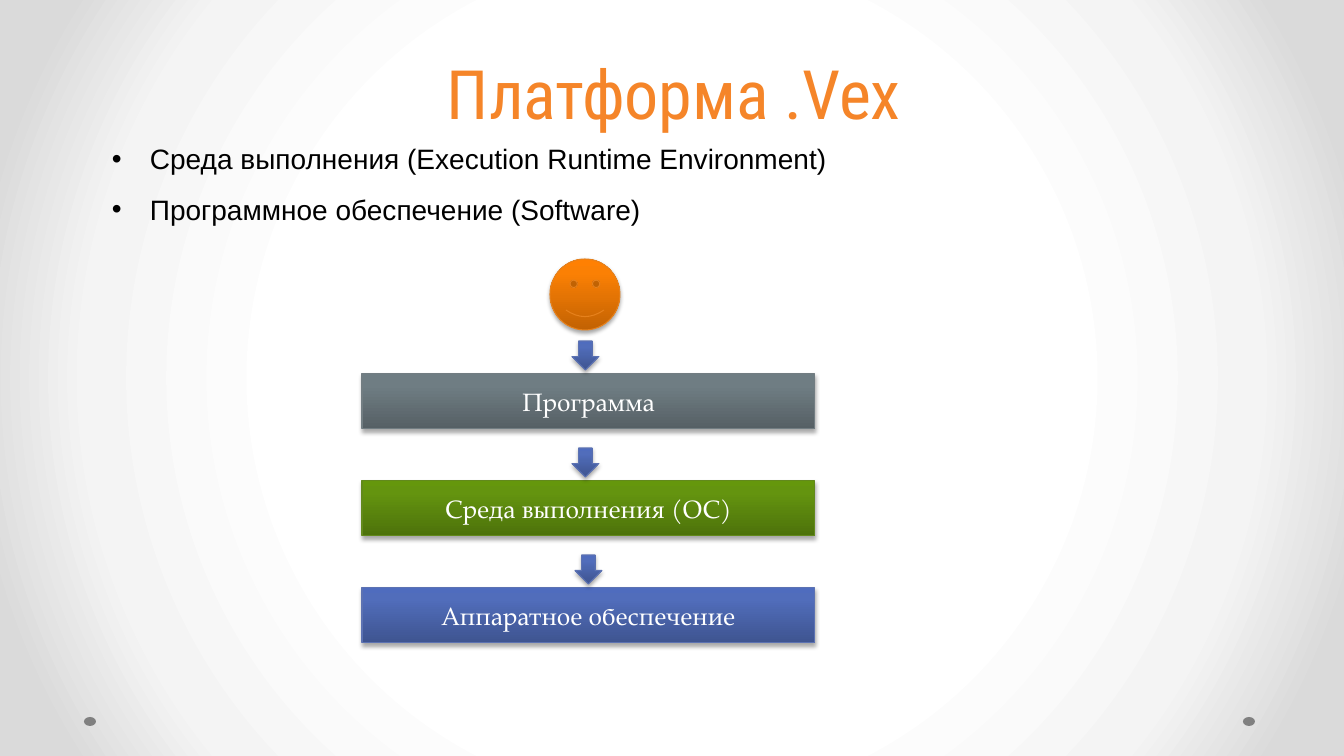
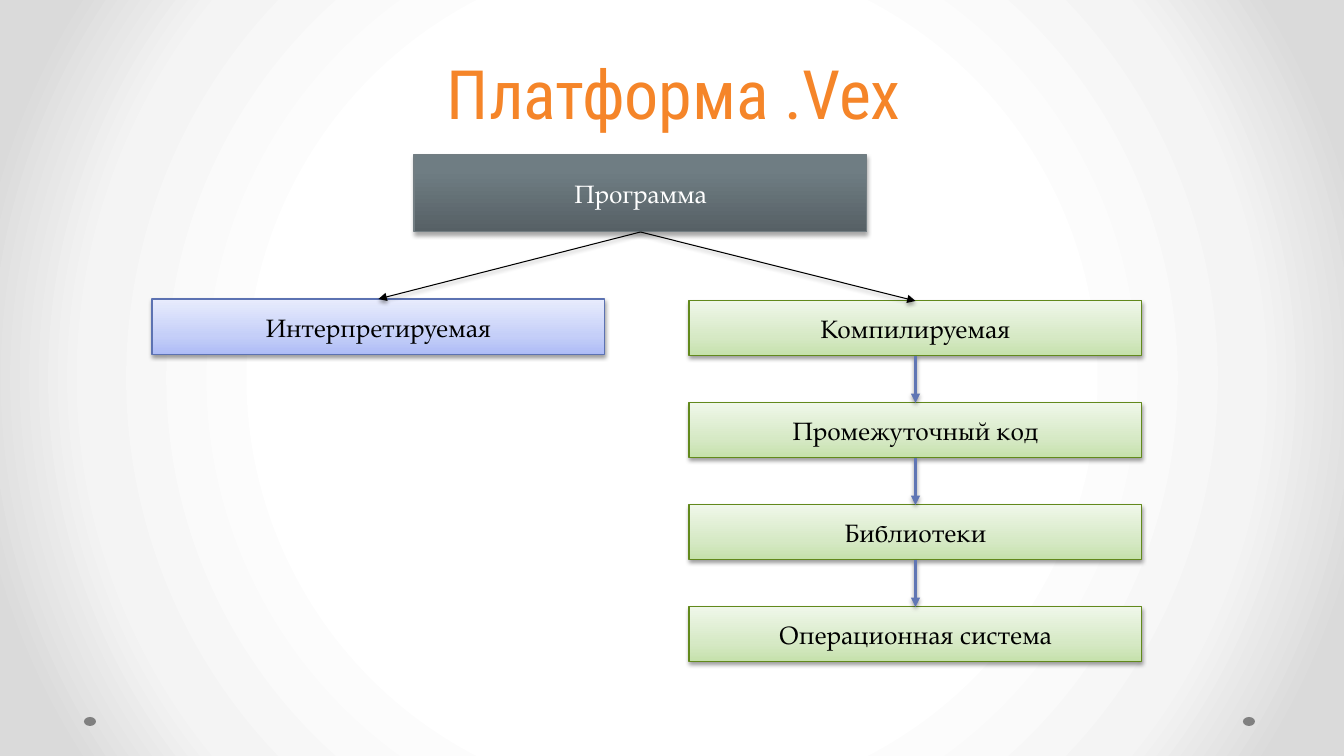
import dataclasses

import lxml.etree
import pptx
import pptx.dml.color
import pptx.enum.shapes
import pptx.enum.text
import pptx.oxml.ns
import pptx.util

PX = 914400 / 100.8
qn = pptx.oxml.ns.qn
SHAPE = pptx.enum.shapes.MSO_SHAPE
ANCHOR = pptx.enum.text.MSO_ANCHOR
ALIGN = pptx.enum.text.PP_ALIGN


@dataclasses.dataclass(frozen=True)
class Look:
    stops: tuple
    line: str
    ink: str = "FFFFFF"
    shadow: tuple = (35, 1.8)


class Theme:
    title_font, body_font, box_font = "Roboto Condensed", "Arial", "TeX Gyre Pagella"
    title_size, body_size, box_size = 48.6, 20, 18
    title, ink, dot, arrow = "F58529", "000000", "808080", "6076B4"
    backdrop = ((50, "FFFFFF"), (76, "F4F4F4"), (92, "DADADA"))
    soft = (38, 1.6)  # shadow opacity in percent, distance in points
    orange = Look(((0, "C26203"), (80, "FB8004"), (100, "FF8002")), "E6811C")
    gray = Look(((0, "566065"), (80, "6F7D83"), (100, "6F7E84")), "727D82")
    green = Look(((0, "4D720B"), (80, "64940F"), (100, "65970C")), "62891C")
    blue = Look(((0, "3E5490"), (80, "516DBB"), (100, "4F6CBE")), "5C72B2")
    pale_blue = Look(((0, "ADBBF6"), (35, "C5CFF8"), (100, "E8ECFD")), "5C72B2", ink, soft)
    pale_green = Look(((0, "C5E1AB"), (35, "D6E9C5"), (100, "EFF7E9")), "62891C", ink, soft)


def write(para, text, font, size, color, **layout):
    """Add text to a paragraph; layout holds paragraph properties."""
    span = para.add_run()
    span.text = text
    span.font.name, span.font.size = font, pptx.util.Pt(size)
    span.font.color.rgb = pptx.dml.color.RGBColor.from_string(color)
    for name, value in layout.items():
        setattr(para, name, value)


def paint_gradient(fill, parent, stops, radial=False):
    """Swap the fill inside its parent element for a gradient."""
    fill.solid()
    old = parent.find(qn("a:solidFill"))
    gradient = lxml.etree.Element(qn("a:gradFill"), rotWithShape="1")
    stop_list = lxml.etree.SubElement(gradient, qn("a:gsLst"))
    for position, color in stops:
        stop = lxml.etree.SubElement(stop_list, qn("a:gs"), pos=str(position * 1000))
        lxml.etree.SubElement(stop, qn("a:srgbClr"), val=color)
    if radial:
        center = lxml.etree.SubElement(gradient, qn("a:path"), {"path": "circle"})
        lxml.etree.SubElement(center, qn("a:fillToRect"),
                              dict.fromkeys("ltrb", "50000"))
    else:
        lxml.etree.SubElement(gradient, qn("a:lin"), ang="16200000", scaled="0")
    parent.replace(old, gradient)


# Deck and shared layout
deck = pptx.Presentation()
deck.slide_width, deck.slide_height = int(1344 * PX), int(756 * PX)
layout = deck.slide_layouts[5]
for holder in list(layout.placeholders):
    if holder.placeholder_format.type != pptx.enum.shapes.PP_PLACEHOLDER.TITLE:
        holder.element.getparent().remove(holder.element)
paint_gradient(layout.background.fill, layout.element.find(".//" + qn("p:bgPr")),
               Theme.backdrop, radial=True)

# Pages with their titles
pages = [deck.slides.add_slide(layout) for _ in range(2)]
for page in pages:
    title = page.shapes.title
    title.left, title.top, title.width, title.height = (
        int(n * PX) for n in (191, 46, 966, 81))
    frame = title.text_frame
    frame.vertical_anchor = ANCHOR.TOP
    frame.auto_size = pptx.enum.text.MSO_AUTO_SIZE.NONE
    frame.margin_top, frame.margin_bottom = int(6 * PX), 0
    write(frame.paragraphs[0], "Платформа .Vex", Theme.title_font, Theme.title_size,
          Theme.title, alignment=ALIGN.CENTER, line_spacing=pptx.util.Pt(58))

# Footer dots, drawn once and moved to the layout
for left in (84, 1243):
    dot = pages[0].shapes.add_shape(
        SHAPE.OVAL, *(int(n * PX) for n in (left, 717, 12, 9)))
    dot.shadow.inherit = False
    dot.fill.solid()
    dot.fill.fore_color.rgb = pptx.dml.color.RGBColor.from_string(Theme.dot)
    dot.line.fill.background()
    layout.shapes.element.append(dot.element)

# Bulleted list
body = pages[0].shapes.add_textbox(*(int(n * PX) for n in (102, 137, 966, 537)))
body.text_frame.word_wrap = True
bullets = ("Среда выполнения (Execution Runtime Environment)",
           "Программное обеспечение (Software)")
for index, text in enumerate(bullets):
    para = body.text_frame.add_paragraph() if index else body.text_frame.paragraphs[0]
    write(para, text, Theme.body_font, Theme.body_size, Theme.ink,
          space_before=pptx.util.Pt(6), space_after=pptx.util.Pt(6))
    properties = para._p.get_or_add_pPr()
    properties.set("marL", str(int(38 * PX)))
    properties.set("indent", str(int(-38 * PX)))
    lxml.etree.SubElement(properties, qn("a:buFont"), typeface=Theme.body_font)
    lxml.etree.SubElement(properties, qn("a:buChar"), char="•")

# Shapes: page, preset, left, top, width, height, look, text
rows = [(0, SHAPE.SMILEY_FACE, 550, 259, 70, 71, Theme.orange, "")]
layers = (("Программа", Theme.gray, 572),
          ("Среда выполнения (ОС)", Theme.green, 572),
          ("Аппаратное обеспечение", Theme.blue, 575))
for index, (text, look, arrow_left) in enumerate(layers):
    top = 374 + 107 * index
    rows.append((0, SHAPE.RECTANGLE, 362, top, 453, 55, look, text))
    rows.append((0, SHAPE.DOWN_ARROW, arrow_left, top - 33, 27, 29, Theme.blue, ""))
rows.append((1, SHAPE.RECTANGLE, 414, 155, 453, 77, Theme.gray, "Программа"))
rows.append((1, SHAPE.RECTANGLE, 152, 299, 453, 56, Theme.pale_blue, "Интерпретируемая"))
stages = ("Компилируемая", "Промежуточный код", "Библиотеки", "Операционная система")
for index, text in enumerate(stages):
    rows.append((1, SHAPE.RECTANGLE, 689, 301 + 102 * index, 453, 55,
                 Theme.pale_green, text))

boxes, shadowed = {}, []
for number, preset, left, top, width, height, look, text in rows:
    shape = pages[number].shapes.add_shape(
        preset, *(int(n * PX) for n in (left, top, width, height)))
    paint_gradient(shape.fill, shape.element.spPr, look.stops)
    shape.line.color.rgb = pptx.dml.color.RGBColor.from_string(look.line)
    shape.line.width = pptx.util.Pt(0.75)
    shadowed.append((shape, look.shadow))
    if text:
        boxes[number, text] = shape
        shape.text_frame.vertical_anchor = ANCHOR.MIDDLE
        write(shape.text_frame.paragraphs[0], text, Theme.box_font, Theme.box_size,
              look.ink, alignment=ALIGN.CENTER)

# Connectors: from, to, colour, width
links = [("Программа", target, Theme.ink, 0.75)
         for target in ("Интерпретируемая", "Компилируемая")]
links += [(start, end, Theme.arrow, 2.25) for start, end in zip(stages, stages[1:])]
for start, end, color, width in links:
    link = pages[1].shapes.add_connector(
        pptx.enum.shapes.MSO_CONNECTOR.STRAIGHT, 0, 0, 0, 0)
    link.begin_connect(boxes[1, start], 2)
    link.end_connect(boxes[1, end], 0)
    link.line.color.rgb = pptx.dml.color.RGBColor.from_string(color)
    link.line.width = pptx.util.Pt(width)
    lxml.etree.SubElement(link.element.spPr.find(qn("a:ln")), qn("a:tailEnd"),
                          type="triangle")
    shadowed.append((link, Theme.soft))

# Shadows below shapes and connectors
for shape, (opacity, distance) in shadowed:
    effects = lxml.etree.SubElement(shape.element.spPr, qn("a:effectLst"))
    shadow = lxml.etree.SubElement(
        effects, qn("a:outerShdw"), blurRad=str(pptx.util.Pt(3.1)),
        dist=str(pptx.util.Pt(distance)), dir="5400000", rotWithShape="0")
    tint = lxml.etree.SubElement(shadow, qn("a:srgbClr"), val=Theme.ink)
    lxml.etree.SubElement(tint, qn("a:alpha"), val=str(opacity * 1000))

deck.save("out.pptx")
